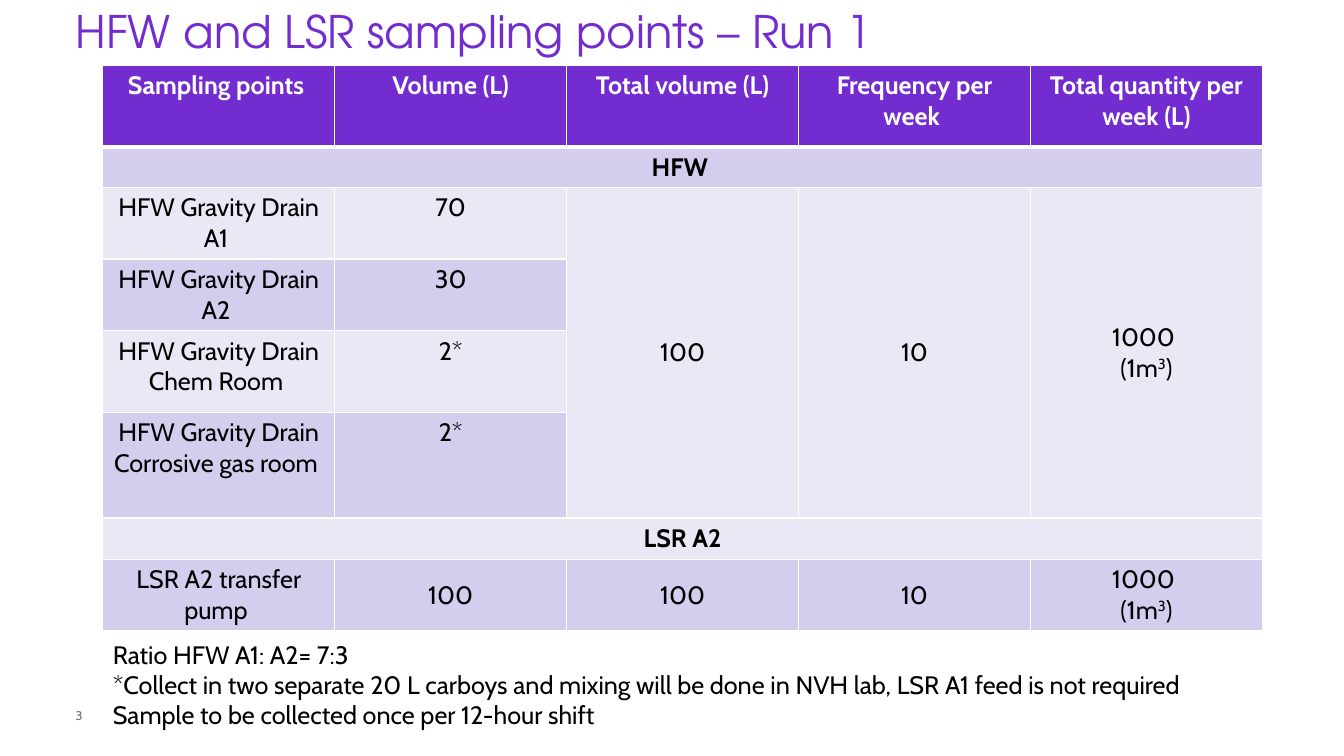
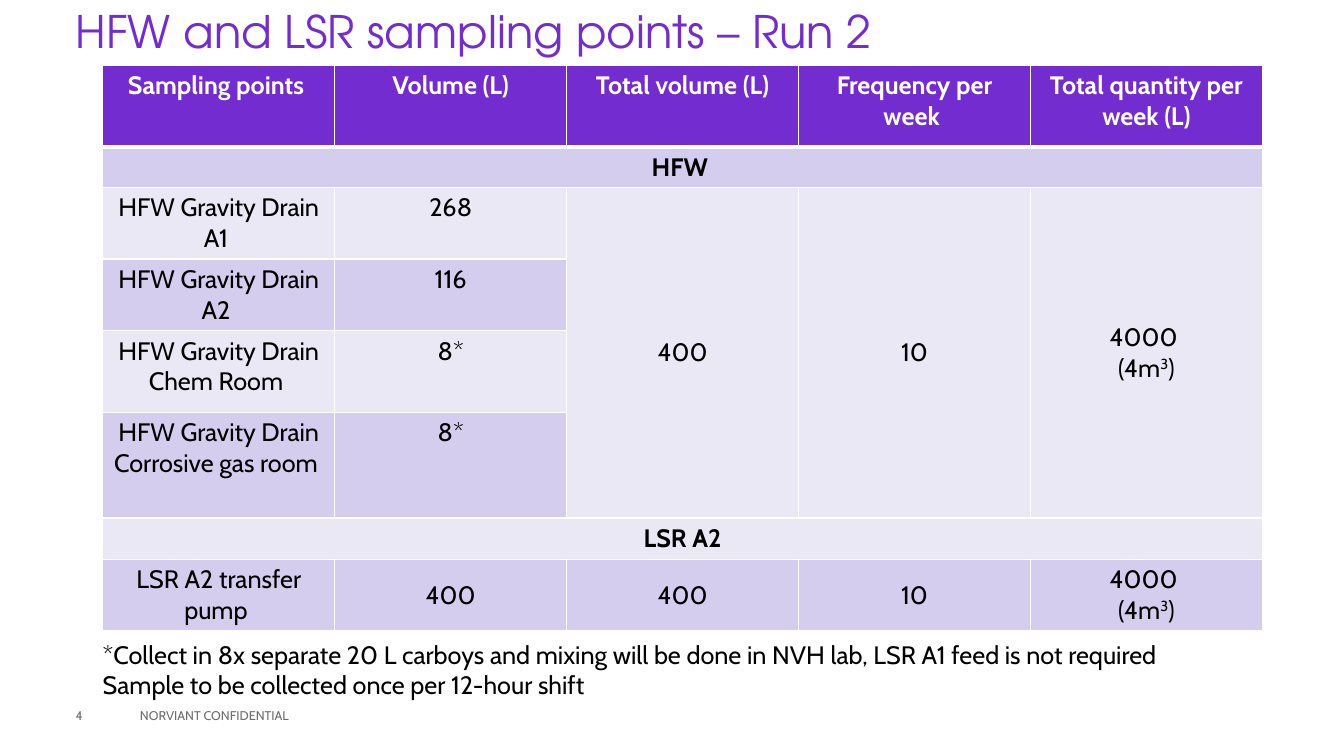
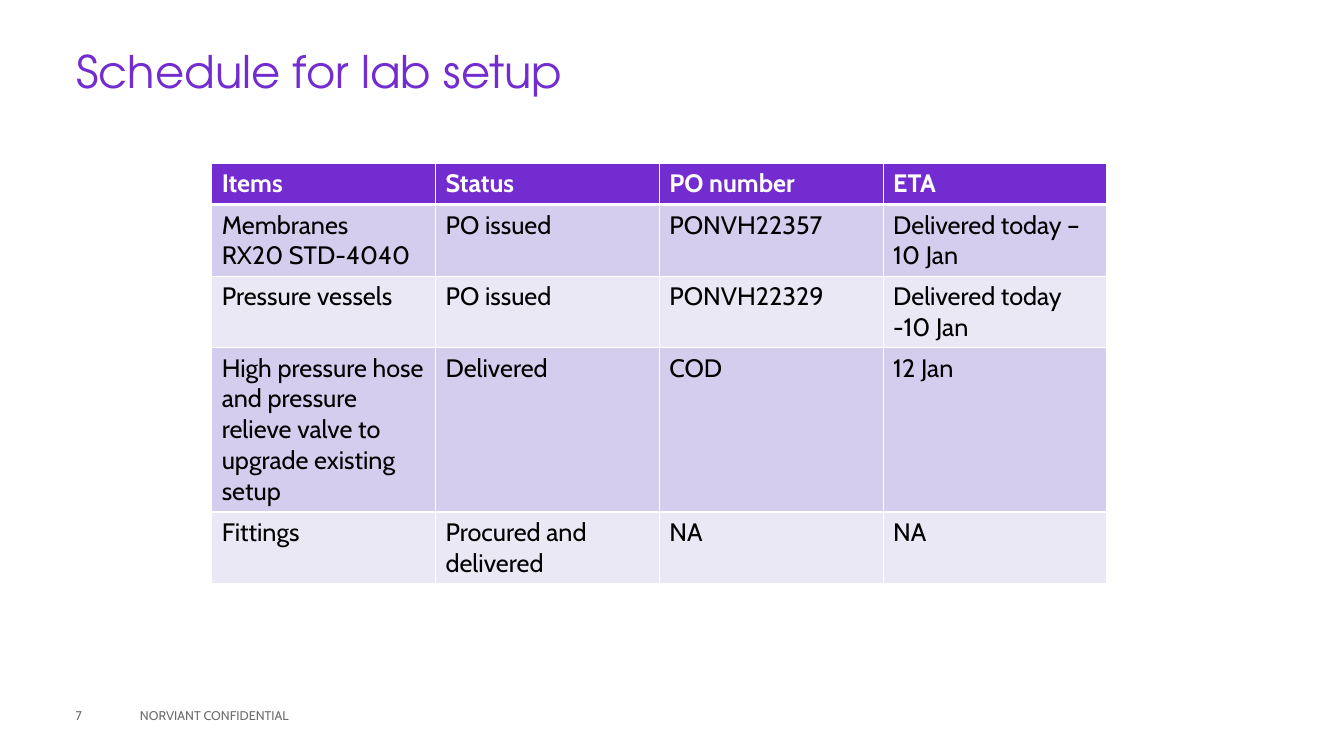
from lxml import etree
from pptx import Presentation
from pptx.dml.color import RGBColor
from pptx.enum import shapes, text
from pptx.oxml.ns import qn
from pptx.util import Inches, Pt

COLORS = {
    "purple": "722CCF", "band_dark": "D5CDED", "band_light": "EBE8F6",
    "white": "FFFFFF", "black": "000000", "grey": "6C6C6C",
}
TITLE_FONT, BODY_FONT = "TeX Gyre Adventor", "Cabin"
CENTER, MIDDLE = text.PP_ALIGN.CENTER, text.MSO_ANCHOR.MIDDLE
FOOTER = "NORVIANT CONFIDENTIAL"


def rgb(name):
    return RGBColor.from_string(COLORS[name])


def write(tf, content, size=18, font=BODY_FONT, color="black", bold=False,
          align=None, spacing=None):
    """Fill a text frame, one paragraph a line; text between carets is raised."""
    for i, line in enumerate(content.split("\n")):
        p = tf.add_paragraph() if i else tf.paragraphs[0]
        p.alignment = align
        p.line_spacing = spacing
        for j, part in enumerate(line.split("^")):
            r = p.add_run()
            r.text = part
            r.font.size, r.font.name, r.font.bold = Pt(size), font, bold
            r.font.color.rgb = rgb(color)
            if j % 2:
                r._r.get_or_add_rPr().set("baseline", "30000")


def set_borders(cell, **widths):
    """Draw white cell borders; widths in points by side (L, R, T, B)."""
    tc_pr = cell._tc.get_or_add_tcPr()
    for side in "LRTB":
        ln = etree.SubElement(tc_pr, qn(f"a:ln{side}"), w=str(Pt(widths.get(side, 1))))
        fill = etree.SubElement(ln, qn("a:solidFill"))
        etree.SubElement(fill, qn("a:srgbClr"), val=COLORS["white"])


class Deck:
    def __init__(self):
        self.prs = Presentation()
        self.prs.slide_width, self.prs.slide_height = Inches(13.33), Inches(7.5)
        self.s = None

    def slide(self, title, number, left=0.75, top=0, footer=None):
        self.s = self.prs.slides.add_slide(self.prs.slide_layouts[6])
        self.text(title, left, top, 11.81, 0.67, inset=0, anchor=MIDDLE, size=32,
                  font=TITLE_FONT, color="purple", spacing=0.9)
        small = dict(anchor=MIDDLE, size=9, color="grey")
        self.text(str(number), 0.75, 6.9, 0.54, 0.4, inset=0, **small)
        if footer:
            self.text(footer, 1.29, 6.9, 4.5, 0.4, **small)

    def text(self, content, left, top, width, height, inset=0.1,
             anchor=text.MSO_ANCHOR.TOP, **style):
        sp = self.s.shapes.add_textbox(*map(Inches, (left, top, width, height)))
        self.frame(sp, content, inset, anchor, **style)

    def panel(self, content, left, top, width, height):
        """White rectangle with left-aligned text from the top."""
        sp = self.s.shapes.add_shape(shapes.MSO_SHAPE.RECTANGLE,
                                     *map(Inches, (left, top, width, height)))
        sp.shadow.inherit = False
        sp.fill.solid()
        sp.fill.fore_color.rgb = rgb("white")
        sp.line.fill.background()
        self.frame(sp, content, 0.1, text.MSO_ANCHOR.TOP, align=text.PP_ALIGN.LEFT)

    def frame(self, sp, content, inset, anchor, **style):
        tf = sp.text_frame
        tf.word_wrap = True
        tf.margin_left = Inches(inset)
        tf.vertical_anchor = anchor
        write(tf, content, **style)

    def table(self, rows, left, top, col_width, heights, align=None, spans=None,
              middle=(), bold_rows=()):
        """Banded table; spans maps (row, column) to (rows, columns) merged."""
        n_cols = len(rows[0])
        table = self.s.shapes.add_table(
            len(rows), n_cols, Inches(left), Inches(top),
            Inches(col_width * n_cols), Inches(sum(heights))).table
        for col in table.columns:
            col.width = Inches(col_width)
        for i, (row, height) in enumerate(zip(rows, heights)):
            table.rows[i].height = Inches(height)
            header = i == 0
            band = "purple" if header else "band_dark" if i % 2 else "band_light"
            for j, content in enumerate(row):
                cell = table.cell(i, j)
                set_borders(cell, T=3 if i == 1 else 1, B=3 if header else 1)
                cell.fill.solid()
                cell.fill.fore_color.rgb = rgb(band)
                if (i, j) in middle:
                    cell.vertical_anchor = MIDDLE
                if content:
                    write(cell.text_frame, content, align=align,
                          color="white" if header else "black",
                          bold=header or i in bold_rows)
        for (i, j), (height, width) in (spans or {}).items():
            table.cell(i, j).merge(table.cell(i + height - 1, j + width - 1))

    def sampling(self, run, number, volumes, total, footer=None):
        """Slide with the sampling points of one run."""
        self.slide(f"HFW and LSR sampling points – Run {run}", number, footer=footer)
        weekly = f"{total * 10} \n({total // 100}m^3^)"
        totals = [str(total), "10", weekly]
        drains = ["A1", "A2", "Chem Room", "Corrosive gas room"]
        rows = [["Sampling points ", "Volume (L)", "Total volume (L)",
                 "Frequency per week ", "Total quantity per week (L)"],
                ["HFW "] + [""] * 4]
        for i, (drain, volume) in enumerate(zip(drains, volumes)):
            rows.append([f"HFW Gravity Drain {drain} ", volume]
                        + (totals if i == 0 else [""] * 3))
        rows += [["LSR A2"] + [""] * 4,
                 ["LSR A2 transfer pump ", str(total)] + totals]
        total_cells = [(2, c) for c in (2, 3, 4)]
        self.table(rows, 1.02, 0.65, 2.3,
                   [0.81, 0.4, 0.71, 0.71, 0.81, 1.05, 0.41, 0.71], align=CENTER,
                   spans={(1, 0): (1, 5), (6, 0): (1, 5),
                          **{cell: (4, 1) for cell in total_cells}},
                   middle=total_cells + [(7, c) for c in range(1, 5)],
                   bold_rows=(1, 6))


def main():
    deck = Deck()
    carboys = ("*Collect in {} separate 20 L carboys and mixing will be done in NVH lab, "
               "LSR A1 feed is not required\n"
               "Sample to be collected once per 12-hour shift")

    deck.sampling(1, 3, ["70", "30", "2*", "2*"], 100)
    deck.panel("Ratio HFW A1: A2= 7:3\n" + carboys.format("two"), 1.02, 6.29, 11.08, 1.05)

    deck.sampling(2, 4, ["268", "116", "8*", "8*"], 400, footer=FOOTER)
    deck.text(carboys.format("8x"), 0.92, 6.29, 11.08, 0.72)

    deck.slide("Schedule for lab setup", 7, left=0.76, top=0.4, footer=FOOTER)
    deck.table([
        ["Items", "Status", "PO number", "ETA"],
        ["Membranes\nRX20 STD-4040", "PO issued", "PONVH22357",
         "Delivered today –10 Jan"],
        ["Pressure vessels", "PO issued", "PONVH22329", "Delivered today -10 Jan"],
        ["High pressure hose and pressure relieve valve to upgrade existing setup",
         "Delivered", "COD", "12 Jan"],
        ["Fittings", "Procured and delivered", "NA", "NA"],
    ], 2.1, 1.62, 2.22, [0.41, 0.71, 0.71, 1.63, 0.71])

    deck.prs.save("out.pptx")


if __name__ == "__main__":
    main()
